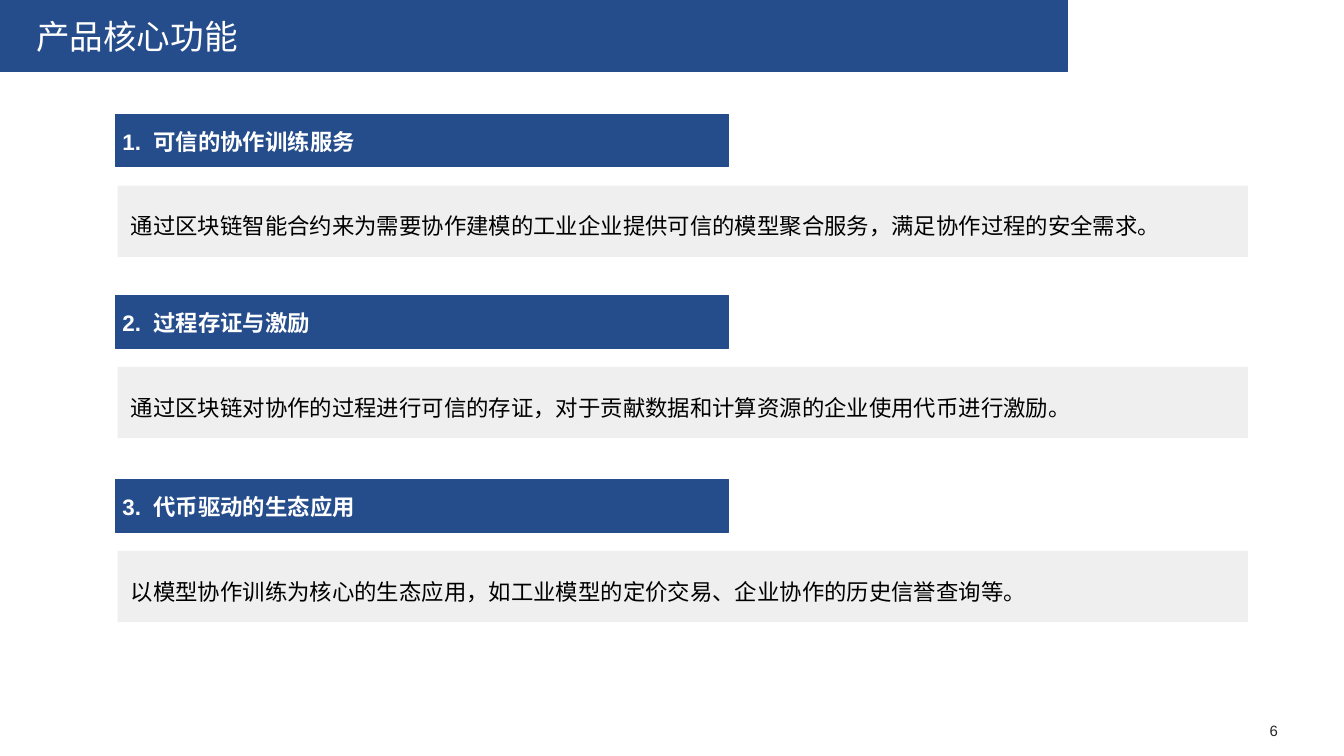
"""Build the slide on core product functions: a title bar and three headed statements."""
from lxml import etree
from pptx import Presentation
from pptx import util as u
from pptx.dml.color import RGBColor
from pptx.enum import shapes, text
from pptx.oxml.ns import qn

COLORS = {"blue": "254C8B", "gray": "D9D9D9", "white": "FFFFFF", "black": "000000", "dark": "262626"}
SECTIONS = [
    (61.2, "1.  可信的协作训练服务",
     "通过区块链智能合约来为需要协作建模的工业企业提供可信的模型聚合服务，满足协作过程的安全需求。"),
    (158.4, "2.  过程存证与激励",
     "通过区块链对协作的过程进行可信的存证，对于贡献数据和计算资源的企业使用代币进行激励。"),
    (257, "3.  代币驱动的生态应用",
     "以模型协作训练为核心的生态应用，如工业模型的定价交易、企业协作的历史信誉查询等。"),
]


def add_bar(slide, left, top, width, height, color, alpha=None):
    shape = slide.shapes.add_shape(shapes.MSO_SHAPE.RECTANGLE, *map(u.Pt, (left, top, width, height)))
    shape.shadow.inherit = False
    shape.fill.solid()
    shape.fill.fore_color.rgb = RGBColor.from_string(COLORS[color])
    if alpha is None:
        shape.line.color.rgb = RGBColor.from_string(COLORS[color])
        shape.line.width = u.Pt(0.5)
    else:
        shape.line.fill.background()
        fill_color = shape._element.spPr.find(qn("a:solidFill"))[0]
        etree.SubElement(fill_color, qn("a:alpha")).set("val", str(alpha * 1000))
    return shape


def write_text(shape, box, content, size, color, bold=False, inset=(0, 0), align=text.PP_ALIGN.LEFT):
    for name, value in zip(("left", "top", "width", "height"), box):
        setattr(shape, name, u.Pt(value))
    frame = shape.text_frame
    frame.text = content
    side, edge = map(u.Pt, inset)
    frame_format = {
        "word_wrap": True, "auto_size": text.MSO_AUTO_SIZE.NONE,
        "vertical_anchor": text.MSO_ANCHOR.MIDDLE,
        "margin_left": side, "margin_right": side, "margin_top": edge, "margin_bottom": edge,
    }
    for name, value in frame_format.items():
        setattr(frame, name, value)
    paragraph = frame.paragraphs[0]
    paragraph.alignment = align
    font = paragraph.runs[0].font
    for name, value in {"name": "Arial", "size": u.Pt(size), "bold": bold}.items():
        setattr(font, name, value)
    font.color.rgb = RGBColor.from_string(COLORS[color])


presentation = Presentation()
presentation.slide_width, presentation.slide_height = u.Pt(720), u.Pt(405)
slide = presentation.slides.add_slide(presentation.slide_layouts[5])

number = slide.shapes.add_textbox(0, 0, 0, 0)
write_text(number, (465.8, 386.6, 218.9, 9.4), "6", 8, "dark", align=text.PP_ALIGN.RIGHT)

title = slide.shapes.title
title_bar = add_bar(slide, 0, 0, 571.7, 38.2, "blue")
title_bar._element.addnext(title._element)
write_text(title, (19.4, 8.6, 170.6, 21.6), "产品核心功能", 18, "white")

for top, heading, statement in SECTIONS:
    add_bar(slide, 63, top + 38.2, 605.5, 38.2, "gray", alpha=42)
    statement_box = slide.shapes.add_textbox(0, 0, 0, 0)
    write_text(statement_box, (63, top + 49, 590.4, 21.6), statement, 12, "black", inset=(7.2, 3.6))
    add_bar(slide, 62, top, 328.3, 28.1, "blue")
    heading_box = slide.shapes.add_textbox(0, 0, 0, 0)
    write_text(heading_box, (65.6, top + 7.2, 319, 14.4), heading, 12, "white", bold=True)

presentation.save("out.pptx")
